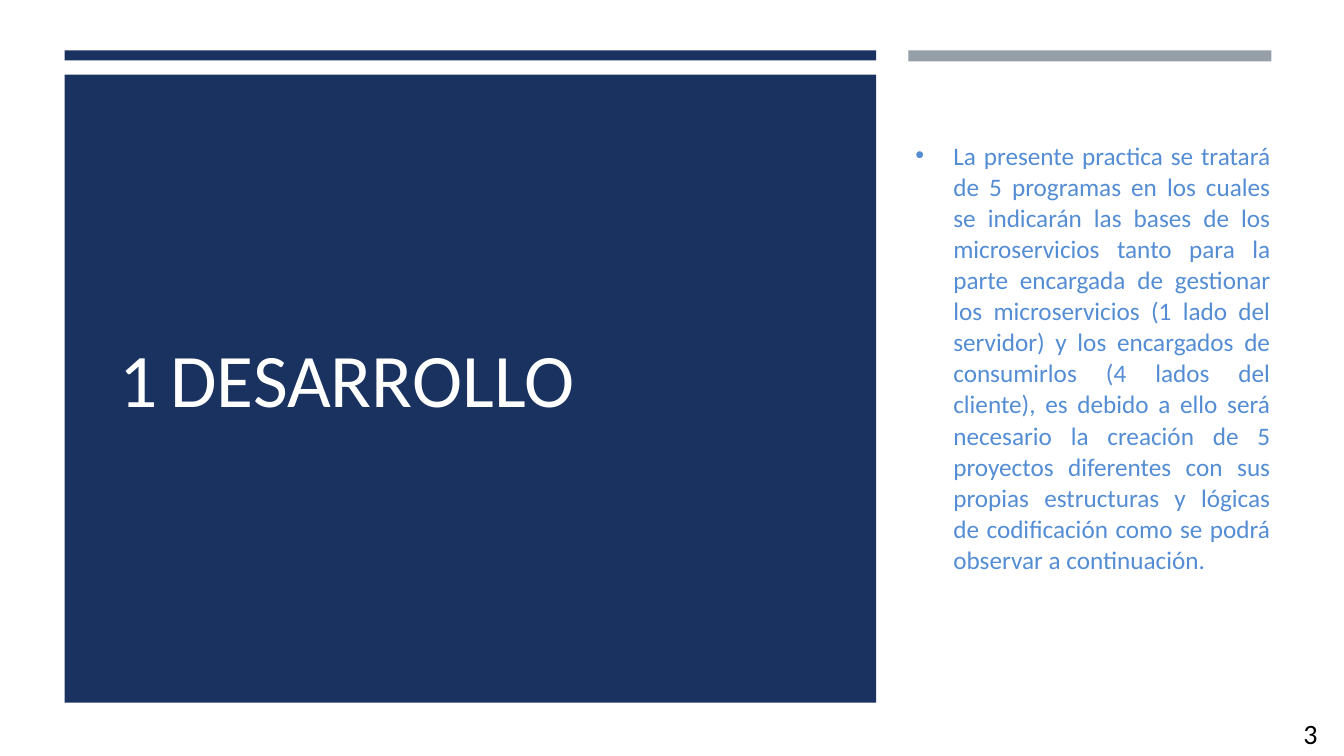
from lxml import etree
from pptx import Presentation, util as u
from pptx.dml.color import RGBColor
from pptx.enum import shapes, text
from pptx.oxml import ns

WIDTH, HEIGHT = 13.33, 7.5
NAVY, GRAY, WHITE, BLACK = "1A3260", "969FA7", "FFFFFF", "000000"
BLUE, TEAL = "548DD4", "4590B8"
DESCRIPTION = (
    "La presente practica se tratará de 5 programas en los cuales se indicarán "
    "las bases de los microservicios tanto para la parte encargada de gestionar "
    "los microservicios (1 lado del servidor) y los encargados de consumirlos "
    "(4 lados del cliente), es debido a ello será necesario la creación de 5 "
    "proyectos diferentes con sus propias estructuras y lógicas de codificación "
    "como se podrá observar a continuación."
)


def color(value):
    return RGBColor.from_string(value)


def place(shape, left, top, width, height):
    shape.left, shape.top = u.Inches(left), u.Inches(top)
    shape.width, shape.height = u.Inches(width), u.Inches(height)


def add_bar(page, box, fill):
    bar = page.shapes.add_shape(
        shapes.MSO_SHAPE.RECTANGLE, *(u.Inches(length) for length in box))
    bar.shadow.inherit = False
    bar.fill.solid()
    bar.fill.fore_color.rgb = color(fill)
    bar.line.fill.background()


def add_property(parent, tag, **attributes):
    return etree.SubElement(parent, ns.qn(tag), attributes)


def write(shape, wording, size, ink, anchor, align):
    frame = shape.text_frame
    frame.text = wording
    frame.word_wrap = True
    frame.auto_size = text.MSO_AUTO_SIZE.NONE
    frame.vertical_anchor = anchor
    para = frame.paragraphs[0]
    para.alignment = align
    para.font.name = "Calibri"
    para.font.size = u.Pt(size)
    para.font.color.rgb = color(ink)
    return para


def bring_forward(page, shape):
    page.shapes._spTree.append(shape._element)


def title_panel(page, left, top, width, height):
    add_bar(page, (left, top, width, 0.1), NAVY)
    add_bar(page, (left, top + 0.24, width, height - 0.24), NAVY)
    title = page.shapes.title
    bring_forward(page, title)
    place(title, left + 0.45, top + 0.76, width - 0.85, height - 1.51)
    title.text_frame.text = "1\tDESARROLLO"
    properties = title.text_frame.paragraphs[0]._p.get_or_add_pPr()
    tabs = add_property(properties, "a:tabLst")
    add_property(tabs, "a:tab", pos=str(u.Inches(0.5)), algn="l")
    para = title.text_frame.paragraphs[0]
    title.text_frame.word_wrap = True
    title.text_frame.auto_size = text.MSO_AUTO_SIZE.NONE
    title.text_frame.vertical_anchor = text.MSO_ANCHOR.MIDDLE
    para.alignment = text.PP_ALIGN.LEFT
    para.font.name = "Calibri"
    para.font.size = u.Pt(54)
    para.font.color.rgb = color(WHITE)


def description_column(page, left, top, width, height):
    add_bar(page, (left, top, width, 0.11), GRAY)
    body = page.placeholders[1]
    bring_forward(page, body)
    place(body, left - 0.03, top + 0.76, width + 0.12, height - 1.91)
    body.text_frame.text = DESCRIPTION
    properties = body.text_frame.paragraphs[0]._p.get_or_add_pPr()
    properties.set("marL", str(u.Inches(0.33)))
    properties.set("indent", str(-u.Inches(0.33)))
    bullet_color = add_property(properties, "a:buClr")
    add_property(bullet_color, "a:srgbClr", val=TEAL)
    add_property(properties, "a:buSzPct", val="92000")
    add_property(properties, "a:buChar", char="■")
    para = write(body, DESCRIPTION, 18, BLUE,
                 text.MSO_ANCHOR.MIDDLE, text.PP_ALIGN.JUSTIFY)
    para.line_spacing = 1.03
    para.space_before = u.Pt(0)


def page_number(page, left, top, width, height):
    number = page.shapes.add_textbox(
        *(u.Inches(length) for length in (left, top, width, height)))
    write(number, "3", 20, BLACK, text.MSO_ANCHOR.TOP, text.PP_ALIGN.LEFT)


def main():
    deck = Presentation()
    deck.slide_width, deck.slide_height = u.Inches(WIDTH), u.Inches(HEIGHT)
    page = deck.slides.add_slide(deck.slide_layouts[1])
    page.background.fill.solid()
    page.background.fill.fore_color.rgb = color(WHITE)
    title_panel(page, 0.64, 0.5, 8.05, 6.47)
    description_column(page, 9.01, 0.5, 3.6, 6.47)
    page_number(page, WIDTH - 0.5, HEIGHT - 0.44, 0.5, 0.44)
    deck.save("out.pptx")


if __name__ == "__main__":
    main()
